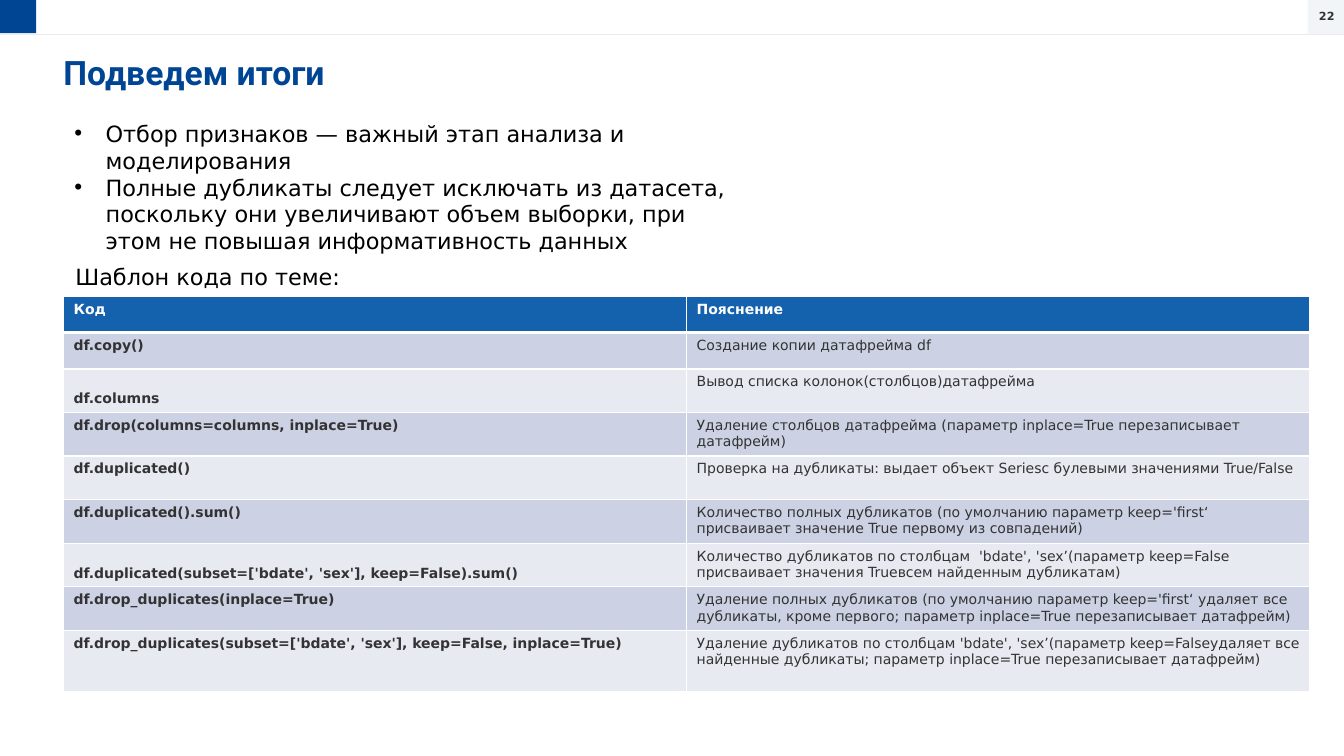
from dataclasses import dataclass

from lxml.etree import SubElement
from pptx import Presentation
from pptx.dml.color import RGBColor
from pptx.enum.shapes import MSO_CONNECTOR as Connector, MSO_SHAPE as Preset
from pptx.enum.text import MSO_ANCHOR as Anchor, PP_ALIGN as Align
from pptx.oxml.ns import qn
from pptx.util import Inches, Pt

COLORS = {
    "brand": "004494", "white": "FFFFFF", "rule": "EBEBEE", "number": "F2F5F8",
    "ink": "333333", "black": "000000", "header": "1461AD",
    "dark_band": "CCD2E3", "light_band": "E7EAF1",
}


def color(name: str) -> RGBColor:
    return RGBColor.from_string(COLORS[name])


@dataclass(frozen=True)
class Style:
    size: float
    color: str
    bold: bool = False
    name: str = "DejaVu Sans"


@dataclass(frozen=True)
class Panel:
    left: float
    top: float
    width: float
    height: float
    fill: str


@dataclass(frozen=True)
class TextBlock:
    left: float
    top: float
    width: float
    height: float
    lines: tuple[str, ...]
    style: Style
    align: Align = Align.LEFT
    margins: tuple[float, float] = (0.1, 0.05)
    bullets: bool = False


@dataclass(frozen=True)
class CodeRow:
    code: str
    note: str
    height: float = 0.43
    anchor: Anchor = Anchor.TOP


BODY = Style(16, "black")
PANELS = [
    Panel(-0.01, -0.01, 0.37, 0.34, "brand"),
    Panel(12.97, 0, 0.36, 0.34, "number"),
]
BLOCKS = [
    TextBlock(12.93, 0.04, 0.46, 0.24, ("22",), Style(8, "ink", True), Align.CENTER),
    TextBlock(0.63, 0.51, 12.07, 0.62, ("Подведем итоги",),
              Style(24, "brand", True, "Roboto"), margins=(0, 0)),
    TextBlock(0.64, 1.14, 6.67, 1.45, (
        "Отбор признаков — важный этап анализа и моделирования",
        "Полные дубликаты следует исключать из датасета, поскольку они увеличивают "
        "объем выборки, при этом не повышая информативность данных",
    ), BODY, bullets=True),
    TextBlock(0.65, 2.56, 3.2, 0.37, ("Шаблон кода по теме:",), BODY),
]
ROWS = [
    CodeRow("Код", "Пояснение", 0.36),
    CodeRow("df.copy()", "Создание копии датафрейма df", 0.36),
    CodeRow("df.columns", "Вывод списка колонок(столбцов)датафрейма", anchor=Anchor.BOTTOM),
    CodeRow("df.drop(columns=columns, inplace=True)",
            "Удаление столбцов датафрейма (параметр inplace=True перезаписывает датафрейм)"),
    CodeRow("df.duplicated()",
            "Проверка на дубликаты: выдает объект Seriesс булевыми значениями True/False"),
    CodeRow("df.duplicated().sum()",
            "Количество полных дубликатов (по умолчанию параметр keep='first‘ "
            "присваивает значение True первому из совпадений)"),
    CodeRow("df.duplicated(subset=['bdate', 'sex'], keep=False).sum()",
            "Количество дубликатов по столбцам  'bdate', 'sex’(параметр keep=False "
            "присваивает значения Trueвсем найденным дубликатам)", anchor=Anchor.BOTTOM),
    CodeRow("df.drop_duplicates(inplace=True)",
            "Удаление полных дубликатов (по умолчанию параметр keep='first‘ удаляет все "
            "дубликаты, кроме первого; параметр inplace=True перезаписывает датафрейм)"),
    CodeRow("df.drop_duplicates(subset=['bdate', 'sex'], keep=False, inplace=True)",
            "Удаление дубликатов по столбцам 'bdate', 'sex’(параметр keep=Falseудаляет все "
            "найденные дубликаты; параметр inplace=True перезаписывает датафрейм)", 0.6),
]


def write(para, text: str, style: Style) -> None:
    span = para.add_run()
    span.text = text
    values = {"size": Pt(style.size), "bold": style.bold, "name": style.name}
    for key, value in values.items():
        setattr(span.font, key, value)
    span.font.color.rgb = color(style.color)


def add_bullet(para) -> None:
    props = para._p.get_or_add_pPr()
    props.set("marL", str(Inches(0.31)))
    props.set("indent", str(Inches(-0.31)))
    SubElement(props, qn("a:buFont"), typeface="Arial")
    SubElement(props, qn("a:buChar"), char="•")


def draw_panel(page, panel: Panel) -> None:
    box = page.shapes.add_shape(
        Preset.RECTANGLE, Inches(panel.left), Inches(panel.top),
        Inches(panel.width), Inches(panel.height))
    box.shadow.inherit = False
    box.fill.solid()
    box.fill.fore_color.rgb = color(panel.fill)
    box.line.fill.background()


def draw_text(page, block: TextBlock) -> None:
    box = page.shapes.add_textbox(
        Inches(block.left), Inches(block.top), Inches(block.width), Inches(block.height))
    frame = box.text_frame
    side, end = (Inches(margin) for margin in block.margins)
    values = {"word_wrap": True, "margin_left": side, "margin_right": side,
              "margin_top": end, "margin_bottom": end}
    for key, value in values.items():
        setattr(frame, key, value)
    for index, line in enumerate(block.lines):
        para = frame.add_paragraph() if index else frame.paragraphs[0]
        para.alignment = block.align
        if block.bullets:
            add_bullet(para)
        write(para, line, block.style)


def draw_rule(page) -> None:
    rule = page.shapes.add_connector(
        Connector.STRAIGHT, Inches(-0.01), Inches(0.34), Inches(13.33), Inches(0.34))
    rule.line.color.rgb = color("rule")
    rule.line.width = Pt(0.75)
    SubElement(rule._element.spPr, qn("a:effectLst"))


def add_borders(cell, top: float, bottom: float) -> None:
    props = cell._tc.get_or_add_tcPr()
    for tag, width in {"lnL": 1, "lnR": 1, "lnT": top, "lnB": bottom}.items():
        edge = SubElement(props, qn(f"a:{tag}"), w=str(Pt(width)))
        SubElement(SubElement(edge, qn("a:solidFill")), qn("a:srgbClr"), val=COLORS["white"])


def draw_table(page, rows: list[CodeRow]) -> None:
    total = sum(row.height for row in rows)
    table = page.shapes.add_table(
        len(rows), 2, Inches(0.63), Inches(2.94), Inches(12.36), Inches(total)).table
    for index, row in enumerate(rows):
        table.rows[index].height = Inches(row.height)
        header = index == 0
        band = "header" if header else "dark_band" if index % 2 else "light_band"
        ink = "white" if header else "ink"
        cells = [(row.code, True, row.anchor), (row.note, header, Anchor.TOP)]
        for column, (text, bold, anchor) in enumerate(cells):
            cell = table.cell(index, column)
            add_borders(cell, 3 if index == 1 else 1, 3 if header else 1)
            cell.fill.solid()
            cell.fill.fore_color.rgb = color(band)
            cell.vertical_anchor = anchor
            write(cell.text_frame.paragraphs[0], text, Style(10, ink, bold))


def main() -> None:
    deck = Presentation()
    deck.slide_width, deck.slide_height = Inches(13.33), Inches(7.5)
    page = deck.slides.add_slide(deck.slide_layouts[6])

    # Top bar
    draw_rule(page)
    for panel in PANELS:
        draw_panel(page, panel)

    # Page number, title and summary
    for block in BLOCKS:
        draw_text(page, block)

    # Code reference
    draw_table(page, ROWS)
    deck.save("out.pptx")


if __name__ == "__main__":
    main()
